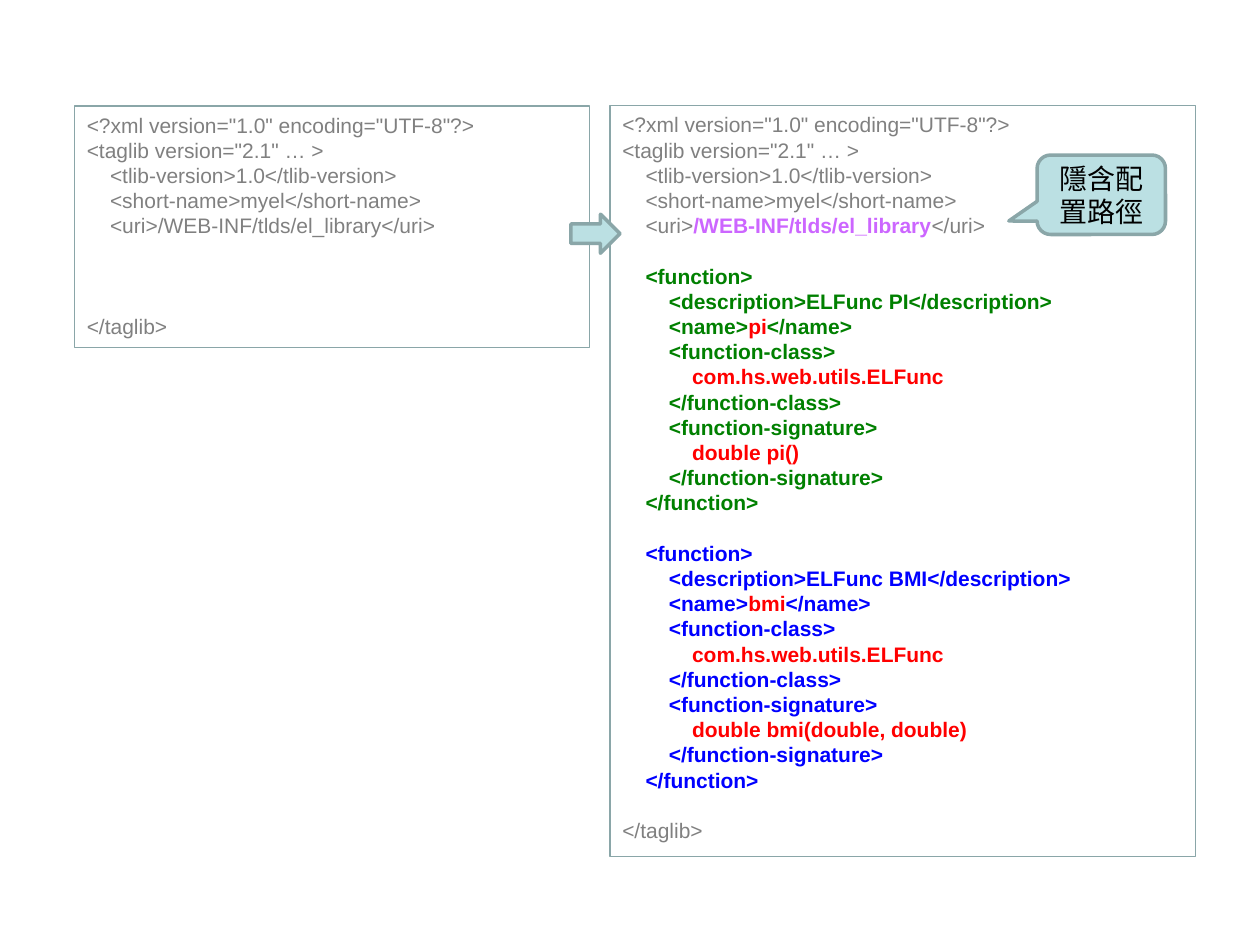
from pptx import Presentation
from pptx.dml.color import RGBColor
from pptx.enum.shapes import MSO_SHAPE
from pptx.enum.text import MSO_ANCHOR, PP_ALIGN
from pptx.util import Pt

THEME = {
    "code_font": "Arial", "code_size": 12, "line_pitch": 14.4,
    "label_font": "Courier New", "label_size": 16,
    "border": "8AA6A8", "accent": "BBE0E3", "label": "000000",
    "plain": "808080", "uri": "CC66FF", "value": "FF0000",
    "pi": "008000", "bmi": "0000FF",
}
INDENT = "    "

HEADER = [
    (0, 0, [('<?xml version="1.0" encoding="UTF-8"?>', "plain")]),
    (0, 0, [('<taglib version="2.1" … >', "plain")]),
    (1, 0, [("<tlib-version>1.0</tlib-version>", "plain")]),
    (1, 0, [("<short-name>myel</short-name>", "plain")]),
]
URI = "/WEB-INF/tlds/el_library"
FUNCTIONS = [("pi", "PI", "double pi()"), ("bmi", "BMI", "double bmi(double, double)")]


def closing(blank_lines):
    return [(0, blank_lines, [("</taglib>", "plain")])]


def function_lines(name, title, signature):
    return [
        (1, 1, [("<function>", name)]),
        (2, 0, [(f"<description>ELFunc {title}</description>", name)]),
        (2, 0, [("<name>", name), (name, "value"), ("</name>", name)]),
        (2, 0, [("<function-class>", name)]),
        (3, 0, [("com.hs.web.utils.ELFunc", "value")]),
        (2, 0, [("</function-class>", name)]),
        (2, 0, [("<function-signature>", name)]),
        (3, 0, [(signature, "value")]),
        (2, 0, [("</function-signature>", name)]),
        (1, 0, [("</function>", name)]),
    ]


BEFORE = HEADER + [(1, 0, [(f"<uri>{URI}</uri>", "plain")])] + closing(3)
AFTER = HEADER + [(1, 0, [("<uri>", "plain"), (URI, "uri"), ("</uri>", "plain")])]
for function in FUNCTIONS:
    AFTER += function_lines(*function)
AFTER += closing(1)

PANELS = [(BEFORE, (42.5, 60.5, 294.5, 138.2)), (AFTER, (348.5, 60.5, 334.8, 429.1))]
ARROW = (326.2, 122.4, 28.1, 22.3)
CALLOUT = (592.6, 88.6, 73.4, 45.4)
CALLOUT_TEXT = "隱含配置路徑"
CALLOUT_SHAPE = (-0.72, 0.33, 0.17)


def color(role):
    return RGBColor.from_string(THEME[role])


def add_outlined(slide, kind, box, line_width, fill=None):
    shape = slide.shapes.add_shape(kind, *map(Pt, box))
    shape.shadow.inherit = False
    shape.line.color.rgb = color("border")
    shape.line.width = Pt(line_width)
    if fill:
        shape.fill.solid()
        shape.fill.fore_color.rgb = color(fill)
    else:
        shape.fill.background()
    return shape


def add_run(paragraph, text, font_name, size, role, bold=False):
    run = paragraph.add_run()
    run.text = text
    run.font.name = font_name
    run.font.size = Pt(size)
    run.font.color.rgb = color(role)
    run.font.bold = bold


def add_panel(slide, lines, box):
    frame = add_outlined(slide, MSO_SHAPE.RECTANGLE, box, 0.75).text_frame
    frame.word_wrap = True
    frame.vertical_anchor = MSO_ANCHOR.TOP
    for row, (depth, blank_lines, segments) in enumerate(lines):
        paragraph = frame.add_paragraph() if row else frame.paragraphs[0]
        paragraph.alignment = PP_ALIGN.LEFT
        paragraph.line_spacing = Pt(THEME["line_pitch"])
        if blank_lines:
            paragraph.space_before = Pt(THEME["line_pitch"] * blank_lines)
        lead = INDENT * depth
        for text, role in segments:
            add_run(paragraph, lead + text, THEME["code_font"], THEME["code_size"],
                    role, role != "plain")
            lead = ""


def add_callout(slide):
    callout = add_outlined(slide, MSO_SHAPE.ROUNDED_RECTANGULAR_CALLOUT, CALLOUT, 2, "accent")
    for index, value in enumerate(CALLOUT_SHAPE):
        callout.adjustments[index] = value
    frame = callout.text_frame
    frame.word_wrap = True
    frame.vertical_anchor = MSO_ANCHOR.MIDDLE
    label = frame.paragraphs[0]
    label.alignment = PP_ALIGN.CENTER
    add_run(label, CALLOUT_TEXT, THEME["label_font"], THEME["label_size"], "label")


def main():
    deck = Presentation()
    deck.slide_width, deck.slide_height = Pt(720), Pt(540)
    slide = deck.slides.add_slide(deck.slide_layouts[6])
    for lines, box in PANELS:
        add_panel(slide, lines, box)
    add_outlined(slide, MSO_SHAPE.RIGHT_ARROW, ARROW, 2, "accent")
    add_callout(slide)
    deck.save("out.pptx")


if __name__ == "__main__":
    main()
